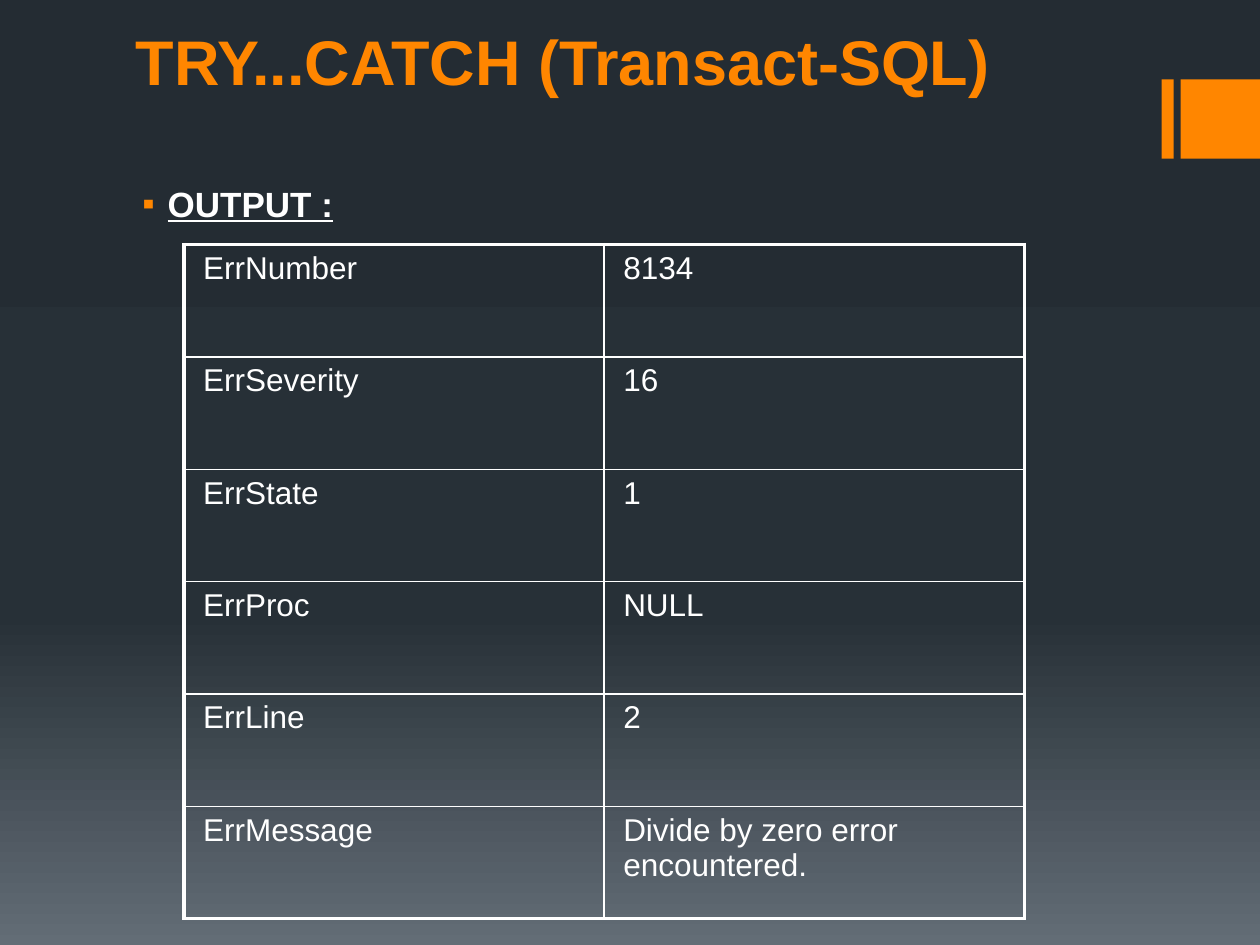
from lxml import etree
from pptx import Presentation
from pptx import util as u
from pptx.dml.color import RGBColor
from pptx.enum import shapes, text
from pptx.oxml import parse_xml
from pptx.oxml.ns import nsdecls, qn

HUES = {"accent": "FF8600", "text": "FFFFFF",
        "top": "242C33", "mid": "273037", "base": "636D76"}

deck = Presentation()
deck.slide_width, deck.slide_height = u.Cm(25.4), u.Cm(19.05)
slide = deck.slides.add_slide(deck.slide_layouts[6])


def add_run(para, words, size, hue, bold=False, under=False):
    run = para.add_run()
    run.text = words
    font = run.font
    font.name, font.size = "Arial", u.Pt(size)
    font.bold, font.underline = bold, under
    font.color.rgb = RGBColor.from_string(HUES[hue])


def add_box(top, high, inset):
    box = slide.shapes.add_textbox(u.Cm(2.49), u.Cm(top), u.Cm(20.32), u.Cm(high))
    frame = box.text_frame
    frame.word_wrap = True
    frame.vertical_anchor = text.MSO_ANCHOR.TOP
    frame.margin_top = u.Cm(inset)
    return frame.paragraphs[0]


# Background gradient
fill = slide.background.fill
fill.gradient()
grad = slide.background._cSld.find(".//" + qn("a:gradFill"))
stops = grad.find(qn("a:gsLst"))
for stop in list(stops):
    stops.remove(stop)
for place, hue in ((0, "top"), (65, "mid"), (100, "base")):
    stop = etree.SubElement(stops, qn("a:gs"), pos=str(place * 1000))
    etree.SubElement(stop, qn("a:srgbClr"), val=HUES[hue])
line = grad.find(qn("a:lin"))
line.set("ang", "5400000")
line.set("scaled", "0")

# Accent bars at the right edge
for left, wide in ((23.42, 0.24), (23.8, 1.6)):
    bar = slide.shapes.add_shape(shapes.MSO_SHAPE.RECTANGLE, u.Cm(left),
                                 u.Cm(1.6), u.Cm(wide), u.Cm(1.6))
    bar.shadow.inherit = False
    bar.fill.solid()
    bar.fill.fore_color.rgb = RGBColor.from_string(HUES["accent"])
    bar.line.fill.background()

# Title
add_run(add_box(0, 3.53, 0.45), "TRY...CATCH (Transact-SQL)", 36, "accent", bold=True)

# Bulleted heading
head = add_box(2.51, 16.54, 1.17)
props = head._p.get_or_add_pPr()
props.set("marL", str(u.Cm(0.64)))
props.set("indent", str(u.Cm(-0.51)))
tint = etree.SubElement(props, qn("a:buClr"))
etree.SubElement(tint, qn("a:srgbClr"), val=HUES["accent"])
etree.SubElement(props, qn("a:buFont"), typeface="Arial")
etree.SubElement(props, qn("a:buChar"), char="▪")
add_run(head, "OUTPUT :", 20, "text", bold=True, under=True)

# Output table
rows = [("ErrNumber", "8134"), ("ErrSeverity", "16"), ("ErrState", "1"),
        ("ErrProc", "NULL"), ("ErrLine", "2"),
        ("ErrMessage", "Divide by zero error encountered.")]
last = len(rows) - 1
table = slide.shapes.add_table(len(rows), 2, u.Cm(3.71), u.Cm(4.93),
                               u.Cm(16.94), u.Cm(13.59)).table
table.first_row = table.horz_banding = False
for r, row in enumerate(rows):
    for c, words in enumerate(row):
        cell = table.cell(r, c)
        cell.fill.background()
        para = cell.text_frame.paragraphs[0]
        para._p.get_or_add_pPr().set("marL", str(u.Cm(0.13)))
        add_run(para, words, 18, "text")
        # Thick outer frame, thin inner rules
        outer = {"L": c == 0, "R": c == 1, "T": r == 0, "B": r == last}
        for spot, (side, thick) in enumerate(outer.items()):
            edge = parse_xml(
                f'<a:ln{side} {nsdecls("a")} w="{u.Pt(2.25 if thick else 1)}">'
                f'<a:solidFill><a:srgbClr val="{HUES["text"]}"/></a:solidFill>'
                f'</a:ln{side}>')
            cell._tc.get_or_add_tcPr().insert(spot, edge)

deck.save("out.pptx")
